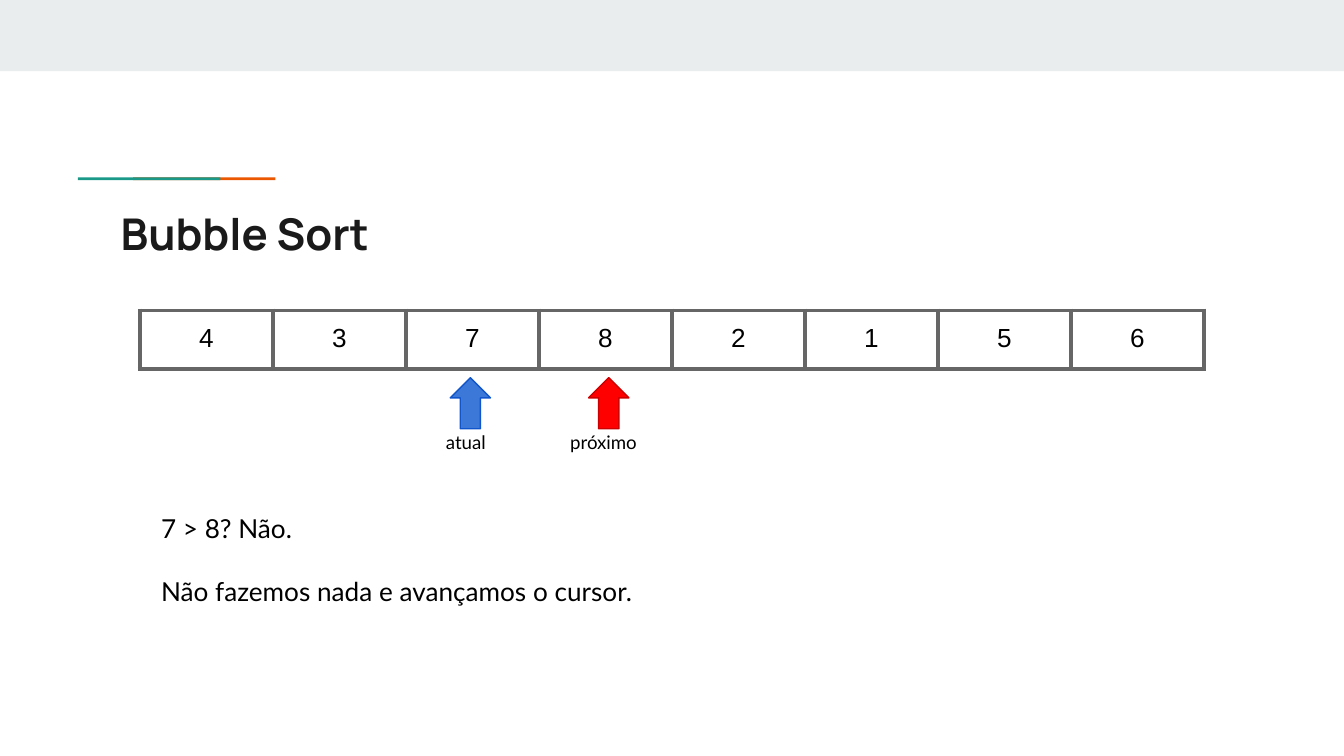
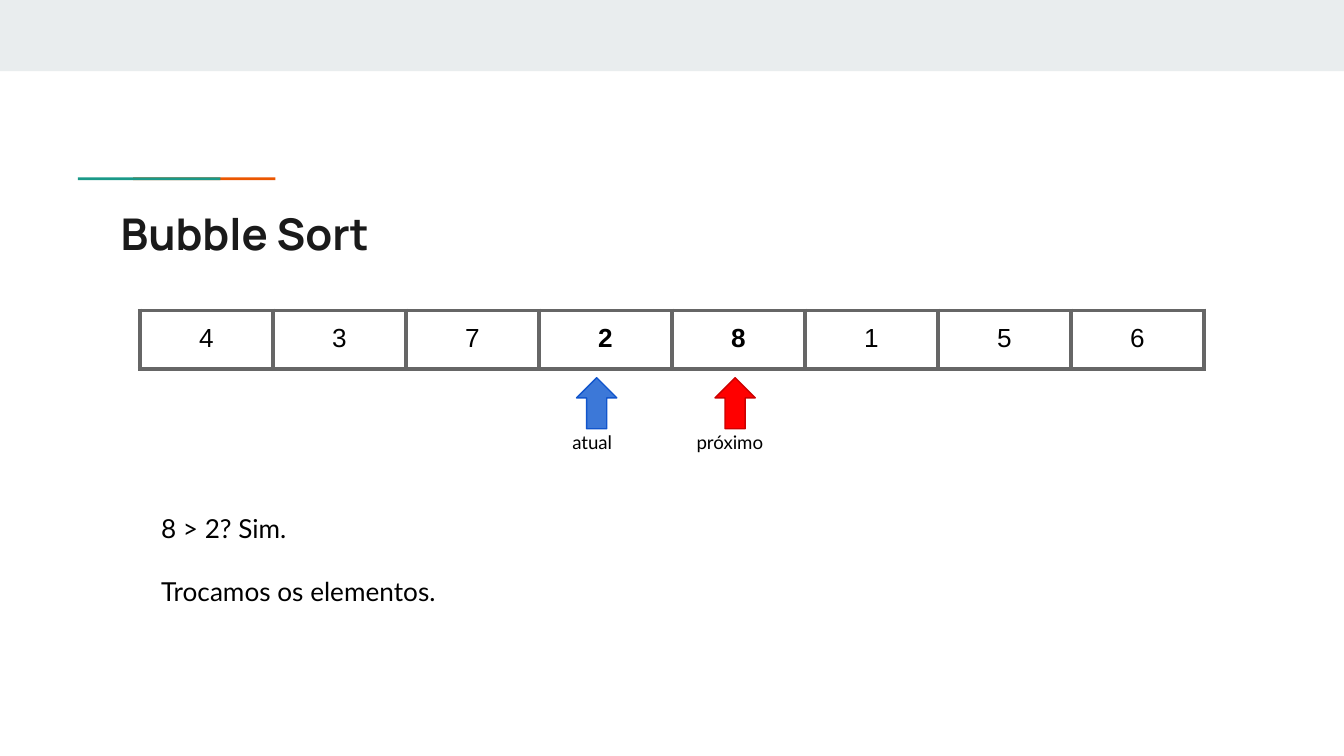
from dataclasses import dataclass

from lxml import etree
from pptx import Presentation
from pptx import util as u
from pptx.dml.color import RGBColor
from pptx.enum import shapes, text
from pptx.oxml import ns

# Shared style
BAND, TEAL, ORANGE = "E9EDEE", "1A9988", "EB5600"
TITLE_INK, INK, GRID = "1A1A1A", "000000", "666666"
INSET = u.Inches(0.1)
CURSOR_GAP = 1.03
BORDER_WIDTH = u.Pt(2.25)


@dataclass(frozen=True)
class Font:
    name: str
    size: float
    color: str = INK
    bold: bool = False


@dataclass(frozen=True)
class Cursor:
    label: str
    label_width: float
    fill: str
    line: str


@dataclass(frozen=True)
class Step:
    values: str
    swapped: tuple[int, ...]
    first_cursor: float
    remarks: tuple[str, ...]


TITLE_FONT = Font("Manrope", 23.4, TITLE_INK, True)
BODY_FONT = Font("Lato", 14)
LABEL_FONT = Font("Lato", 10)

CURSORS = (
    Cursor("atual", 0.56, "3C78D8", "1155CC"),
    Cursor("próximo", 0.77, "FF0000", "CC0000"),
)

STEPS = (
    Step("43782156", (), 3.5,
         ("7 > 8? Não.", "Não fazemos nada e avançamos o cursor.")),
    Step("43728156", (3, 4), 4.44,
         ("8 > 2? Sim.", "Trocamos os elementos.")),
)


def rgb(color: str) -> RGBColor:
    return RGBColor.from_string(color)


def add_span(para, words: str, font: Font) -> None:
    span = para.add_run()
    span.text = words
    span.font.name = font.name
    span.font.size = u.Pt(font.size)
    span.font.bold = font.bold
    span.font.color.rgb = rgb(font.color)


def set_insets(holder) -> None:
    holder.margin_left = holder.margin_right = INSET
    holder.margin_top = holder.margin_bottom = INSET


def add_text(page, left: float, top: float, width: float, height: float,
             lines: tuple[str, ...], font: Font, gap: float = 0) -> None:
    box = page.shapes.add_textbox(*map(u.Inches, (left, top, width, height)))
    frame = box.text_frame
    frame.word_wrap = True
    set_insets(frame)
    for index, line in enumerate(lines):
        para = frame.add_paragraph() if index else frame.paragraphs[0]
        if index:
            para.space_before = u.Pt(gap)
        add_span(para, line, font)


def add_figure(page, kind, left: float, top: float, width: float,
               height: float, fill: str, line: str | None = None,
               rotation: float = 0) -> None:
    figure = page.shapes.add_shape(
        kind, *map(u.Inches, (left, top, width, height)))
    figure.rotation = rotation
    figure.shadow.inherit = False
    figure.fill.solid()
    figure.fill.fore_color.rgb = rgb(fill)
    if line:
        figure.line.color.rgb = rgb(line)
        figure.line.width = u.Pt(0.75)
    else:
        figure.line.fill.background()


def add_borders(cell) -> None:
    properties = cell._tc.get_or_add_tcPr()
    for index, side in enumerate(("lnL", "lnR", "lnT", "lnB")):
        border = etree.Element(ns.qn(f"a:{side}"), w=str(BORDER_WIDTH))
        fill = etree.SubElement(border, ns.qn("a:solidFill"))
        etree.SubElement(fill, ns.qn("a:srgbClr"), val=GRID)
        properties.insert(index, border)


def add_array(page, step: Step) -> None:
    count, cell_width, row_height = len(step.values), 0.99, 0.42
    table = page.shapes.add_table(
        1, count, u.Inches(1.04), u.Inches(2.31),
        u.Inches(count * cell_width), u.Inches(row_height)).table
    table.first_row = table.horz_banding = False
    for index, value in enumerate(step.values):
        table.columns[index].width = u.Inches(cell_width)
        cell = table.cell(0, index)
        cell.fill.background()
        set_insets(cell)
        add_borders(cell)
        para = cell.text_frame.paragraphs[0]
        para.alignment = text.PP_ALIGN.CENTER
        add_span(para, value, Font("Arial", 14, bold=index in step.swapped))


def add_cursor(page, cursor: Cursor, center: float) -> None:
    length = 0.38
    add_figure(page, shapes.MSO_SHAPE.RIGHT_ARROW, center - length / 2, 2.85,
               length, 0.3, cursor.fill, cursor.line, rotation=270)
    add_text(page, center - cursor.label_width / 2, 3.12, cursor.label_width,
             0.37, (cursor.label,), LABEL_FONT)


def add_frame(page) -> None:
    # Top band, two-colour rule and title
    block = shapes.MSO_SHAPE.RECTANGLE
    add_figure(page, block, 0, 0, 10, 0.53, BAND)
    for left, color in ((0.99, ORANGE), (0.58, TEAL)):
        add_figure(page, block, left, 1.32, 1.06, 0.02, color)
    add_text(page, 0.8, 1.44, 8.41, 0.59, ("Bubble Sort",), TITLE_FONT)


def add_step(deck, step: Step) -> None:
    page = deck.slides.add_slide(deck.slide_layouts[6])
    add_frame(page)
    add_array(page, step)
    add_text(page, 1.1, 3.71, 7.81, 0.91, step.remarks, BODY_FONT, gap=17)
    for index, cursor in enumerate(CURSORS):
        add_cursor(page, cursor, step.first_cursor + index * CURSOR_GAP)


def main() -> None:
    deck = Presentation()
    # Widescreen page, 16:9
    deck.slide_width = u.Inches(10)
    deck.slide_height = u.Inches(10 * 9 / 16)
    for step in STEPS:
        add_step(deck, step)
    deck.save("out.pptx")


if __name__ == "__main__":
    main()
